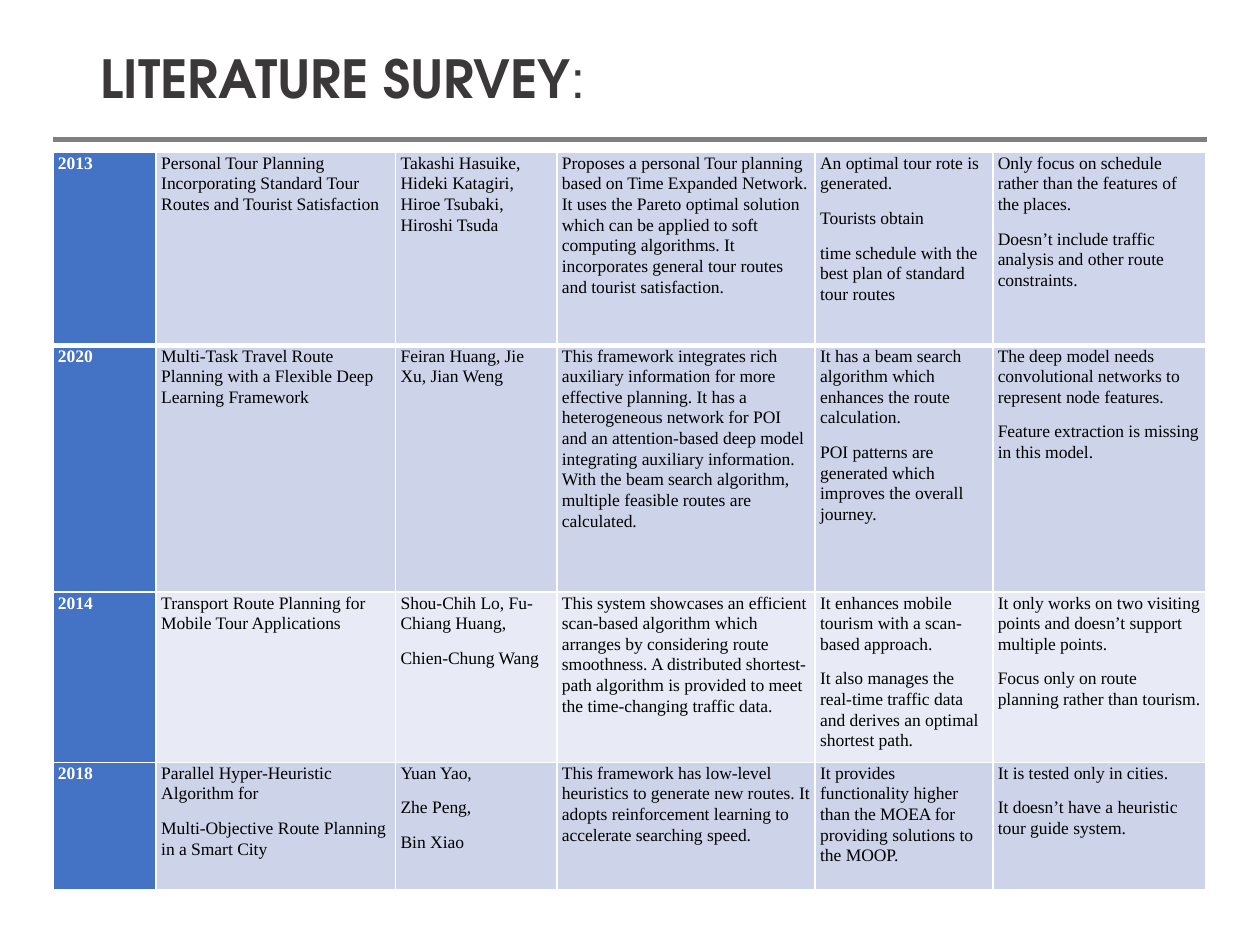
"""Build a literature survey slide with a table of route planning papers."""
from dataclasses import dataclass

from lxml.etree import SubElement
from pptx import Presentation
from pptx.dml.color import RGBColor
from pptx.enum.shapes import MSO_CONNECTOR
from pptx.enum.text import MSO_ANCHOR, MSO_AUTO_SIZE, PP_ALIGN
from pptx.oxml.ns import qn
from pptx.util import Inches, Pt


@dataclass(frozen=True)
class Theme:
    title: str = "3A3838"
    rule: str = "7F7F7F"
    year_fill: str = "4472C4"
    year_text: str = "FFFFFF"
    text: str = "000000"
    border: str = "FFFFFF"
    row_fills: tuple = ("CFD5EA", "CDD4EA", "E8EBF5", "CDD4EA")
    title_size: int = 30
    body_size: int = 10
    title_font: str = "TeX Gyre Adventor"
    colon_font: str = "Arial"
    body_font: str = "Times New Roman"


def apply_format(target, color=None, **values):
    for name, value in values.items():
        setattr(target, name, value)
    if color:
        target.color.rgb = RGBColor.from_string(color)


def add_border(cell, side, points):
    ln = SubElement(cell._tc.get_or_add_tcPr(), qn(f"a:{side}"), w=str(Pt(points)))
    fill = SubElement(ln, qn("a:solidFill"))
    SubElement(fill, qn("a:srgbClr"), val=theme.border)


theme = Theme()
col_widths = [0.82, 1.9, 1.28, 2.05, 1.41, 1.69]
row_heights = [1.53, 1.96, 1.35, 1.01]
papers = [
    [
        "2013",
        "Personal Tour Planning Incorporating Standard Tour Routes and Tourist Satisfaction",
        "Takashi Hasuike, Hideki Katagiri, Hiroe Tsubaki, Hiroshi Tsuda",
        "Proposes a personal Tour planning based on Time Expanded Network. "
        "It uses the Pareto optimal solution which can be applied to soft computing algorithms. "
        "It incorporates general tour routes and tourist satisfaction.",
        "An optimal tour rote is generated.\nTourists obtain\n"
        "time schedule with the best plan of standard tour routes",
        "Only focus on schedule rather than the features of the places.\n"
        "Doesn’t include traffic analysis and other route constraints.",
    ],
    [
        "2020",
        "Multi-Task Travel Route Planning with a Flexible Deep Learning Framework",
        "Feiran Huang, Jie Xu, Jian Weng",
        "This framework integrates rich auxiliary information for more effective planning. "
        "It has a heterogeneous network for POI and an attention-based deep model "
        "integrating auxiliary information. With the beam search algorithm, "
        "multiple feasible routes are calculated.",
        "It has a beam search algorithm which enhances the route calculation.\n"
        "POI patterns are generated which improves the overall journey.",
        "The deep model needs convolutional networks to represent node features.\n"
        "Feature extraction is missing in this model.",
    ],
    [
        "2014",
        "Transport Route Planning for Mobile Tour Applications",
        "Shou-Chih Lo, Fu-Chiang Huang,\nChien-Chung Wang",
        "This system showcases an efficient scan-based algorithm which arranges by "
        "considering route smoothness. A distributed shortest-path algorithm is provided "
        "to meet the time-changing traffic data.",
        "It enhances mobile tourism with a scan-based approach.\n"
        "It also manages the real-time traffic data and derives an optimal shortest path.",
        "It only works on two visiting points and doesn’t support multiple points.\n"
        "Focus only on route planning rather than tourism.",
    ],
    [
        "2018",
        "Parallel Hyper-Heuristic Algorithm for\nMulti-Objective Route Planning in a Smart City",
        "Yuan Yao,\nZhe Peng,\nBin Xiao",
        "This framework has low-level heuristics to generate new routes. "
        "It adopts reinforcement learning to accelerate searching speed.",
        "It provides functionality higher than the MOEA for providing solutions to the MOOP.",
        "It is tested only in cities.\nIt doesn’t have a heuristic tour guide system.",
    ],
]

prs = Presentation()
apply_format(prs, slide_width=Inches(10), slide_height=Inches(7.5))
s = prs.slides.add_slide(prs.slide_layouts[5])

rule = s.shapes.add_connector(
    MSO_CONNECTOR.STRAIGHT, Inches(0.42), Inches(1.11), Inches(9.58), Inches(1.11)
)
apply_format(rule.line, theme.rule, width=Pt(3))
SubElement(rule._element.spPr, qn("a:effectLst"))

title = s.shapes.title
apply_format(
    title, left=Inches(0.7), top=Inches(0.19), width=Inches(5.74), height=Inches(0.92)
)
tf = title.text_frame
apply_format(
    tf, word_wrap=True, auto_size=MSO_AUTO_SIZE.NONE, vertical_anchor=MSO_ANCHOR.MIDDLE
)
p = tf.paragraphs[0]
apply_format(p, alignment=PP_ALIGN.LEFT, line_spacing=0.9, space_before=Pt(0))
for text, font, bold in [
    ("LITERATURE SURVEY", theme.title_font, True),
    (":", theme.colon_font, False),
]:
    r = p.add_run()
    r.text = text
    apply_format(r.font, theme.title, name=font, size=Pt(theme.title_size), bold=bold)

table = s.shapes.add_table(
    len(papers), len(col_widths), Inches(0.42), Inches(1.21),
    Inches(sum(col_widths)), Inches(sum(row_heights)),
).table
for column, width in zip(table.columns, col_widths):
    column.width = Inches(width)
for row, height in zip(table.rows, row_heights):
    row.height = Inches(height)

for i, paper in enumerate(papers):
    for j, text in enumerate(paper):
        is_year = j == 0
        cell = table.cell(i, j)
        cell.text = text
        apply_format(
            cell, margin_left=Inches(0.04), margin_right=Inches(0.04),
            margin_top=0, margin_bottom=0, vertical_anchor=MSO_ANCHOR.TOP,
        )
        for side in ("lnL", "lnR", "lnT", "lnB"):
            under_first_row = (i, side) in [(0, "lnB"), (1, "lnT")]
            add_border(cell, side, 3 if under_first_row else 1)
        cell.fill.solid()
        fill = theme.year_fill if is_year else theme.row_fills[i]
        cell.fill.fore_color.rgb = RGBColor.from_string(fill)
        for n, p in enumerate(cell.text_frame.paragraphs):
            apply_format(p, line_spacing=1.07, space_before=Pt(8 if n else 0))
            apply_format(
                p.runs[0].font, theme.year_text if is_year else theme.text,
                name=theme.body_font, size=Pt(theme.body_size), bold=is_year,
            )

prs.save("out.pptx")
